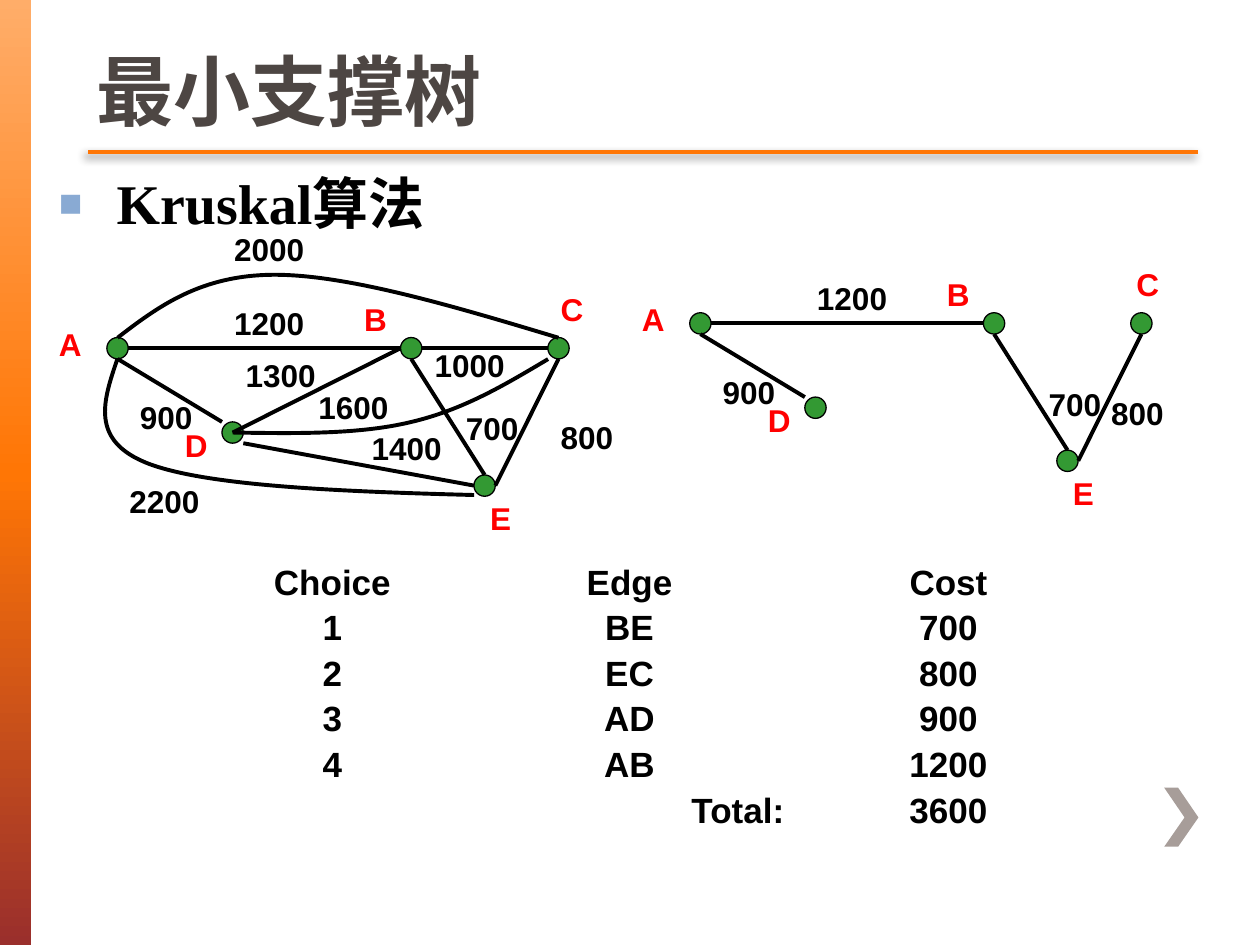
from dataclasses import dataclass
from pptx import Presentation
from pptx.dml.color import RGBColor
from pptx.enum.shapes import MSO_CONNECTOR, MSO_SHAPE
from pptx.enum.text import MSO_ANCHOR, PP_ALIGN
from pptx.oxml import parse_xml
from pptx.oxml.ns import nsdecls, qn
from pptx.util import Cm, Pt


@dataclass(frozen=True)
class Theme:
    title: str = "4D4643"
    edge: str = "675D59"
    ink: str = "000000"
    name: str = "FF0000"
    node: str = "339933"
    rule: str = "FF7605"
    arrow: str = "A79D99"
    bullet: str = "89AAD3"
    bar: tuple = ((0, "FFAD69"), (50, "FF7605"), (100, "9A2F2C"))
    sans: str = "Arial"
    serif: str = "Times New Roman"
    big: int = 44
    head: int = 32
    body: int = 20
    small: int = 18


theme = Theme()


def style(para, size, color, face):
    for run in para.runs:
        run.font.size = Pt(size)
        run.font.bold = True
        run.font.name = face
        run.font.color.rgb = RGBColor.from_string(color)


def stroke(shape, color, width, effect=""):
    shape.line.color.rgb = RGBColor.from_string(color)
    shape.line.width = Pt(width)
    props = shape._element.spPr
    for old in props.findall(qn("a:effectLst")):
        props.remove(old)
    props.append(parse_xml(f'<a:effectLst {nsdecls("a")}>{effect}</a:effectLst>'))


deck = Presentation()
deck.slide_width, deck.slide_height = Cm(25.4), Cm(19.05)
slide = deck.slides.add_slide(deck.slide_layouts[5])
shapes = slide.shapes

title = shapes.title
title.left, title.top, title.width, title.height = Cm(1.7), Cm(0), Cm(22.38), Cm(2.87)
title.text_frame.text = "最小支撑树"
title.text_frame.vertical_anchor = MSO_ANCHOR.BOTTOM
para = title.text_frame.paragraphs[0]
para.alignment = PP_ALIGN.LEFT
style(para, theme.big, theme.title, theme.sans)
para.runs[0].font._element.insert(0, parse_xml(
    f'<a:ln {nsdecls("a")} w="12700"><a:solidFill><a:srgbClr val="{theme.edge}"/></a:solidFill></a:ln>'))

bar = shapes.add_shape(MSO_SHAPE.RECTANGLE, Cm(0), Cm(0), Cm(0.63), Cm(19.05))
bar.shadow.inherit = False
bar.line.fill.background()
stops = "".join(f'<a:gs pos="{pos * 1000}"><a:srgbClr val="{color}"/></a:gs>' for pos, color in theme.bar)
bar._element.spPr.find(qn("a:prstGeom")).addnext(parse_xml(
    f'<a:gradFill {nsdecls("a")}><a:gsLst>{stops}</a:gsLst><a:lin ang="5400000" scaled="0"/></a:gradFill>'))

tip = [(23.47, 15.88), (23.88, 16.48), (23.47, 17.07), (23.75, 17.07), (24.16, 16.48)]
build = shapes.build_freeform(Cm(23.75), Cm(15.88))
build.add_line_segments([(Cm(x), Cm(y)) for x, y in tip], close=True)
arrow = build.convert_to_shape()
arrow.shadow.inherit = False
arrow.fill.solid()
arrow.fill.fore_color.rgb = RGBColor.from_string(theme.arrow)
arrow.line.fill.background()

rule = shapes.add_connector(MSO_CONNECTOR.STRAIGHT, Cm(1.78), Cm(3.07), Cm(24.16), Cm(3.07))
stroke(rule, theme.rule, 2.5,
       '<a:outerShdw blurRad="63500" dist="38100" dir="8100000">'
       '<a:srgbClr val="000000"><a:alpha val="45000"/></a:srgbClr></a:outerShdw>')

head = shapes.add_textbox(Cm(0.94), Cm(3.28), Cm(17.42), Cm(1.6)).text_frame
head.word_wrap = True
head.text = "Kruskal算法"
para = head.paragraphs[0]
props = para._p.get_or_add_pPr()
props.set("marL", str(Cm(1.16)))
props.set("indent", str(-Cm(1.16)))
for tag in (f'<a:buClr {nsdecls("a")}><a:srgbClr val="{theme.bullet}"/></a:buClr>',
            f'<a:buSzPct {nsdecls("a")} val="70000"/>',
            f'<a:buFont {nsdecls("a")} typeface="{theme.sans}"/>',
            f'<a:buChar {nsdecls("a")} char="■"/>'):
    props.append(parse_xml(tag))
style(para, theme.head, theme.ink, theme.serif)

nodes = {"A": (2.37, 7.02), "B": (8.29, 7.02), "C": (11.26, 7.02), "E": (9.77, 9.79), "D": (4.69, 8.72)}
names = {"A": (0.94, 6.43), "B": (7.09, 5.92), "C": (11.05, 5.72), "D": (3.48, 8.46), "E": (9.63, 9.93)}
size = 0.43
edges = {
    "AB": ((1, 0), (-1, 0)), "BC": ((1, 0), (-1, 0)), "AD": ((0, 1), (-1, -1)), "DE": ((1, 1), (-1, 0)),
    "EC": ((1, 0), (0, 1)), "BE": ((0, 1), (0, -1)), "DB": ((0, 0), (-1, 0)),
}
curves = [
    [(2.37, 6.81), (3.2, 6.17), (4.06, 5.54), (5.54, 5.54), (7.01, 5.54), (9.14, 6.17), (11.26, 6.81)],
    [(2.37, 7.23), (2.08, 8.08), (1.8, 8.89), (3, 9.35), (4.19, 9.8), (6.88, 9.91), (9.56, 9.98)],
    [(4.69, 8.72), (5.97, 8.74), (7.24, 8.76), (8.28, 8.51), (9.35, 8.26), (10.19, 7.75), (11.05, 7.24)],
]
costs = {"2000": (4.47, 4.52), "1200": (4.47, 6), "1000": (8.51, 6.86), "900": (2.57, 7.9), "1300": (4.7, 7.06),
         "1600": (6.17, 7.7), "1400": (7.24, 8.53), "700": (9.14, 8.13), "800": (11.05, 8.31), "2200": (2.36, 9.6)}
tree = {"AB": "1200", "AD": "900", "EC": "800", "BE": "700"}
full = (shapes.add_group_shape().shapes, 0, 0, edges, curves, costs, names)
least = (shapes, 11.75, -0.5, tree, [],
         {cost: costs[cost] for cost in tree.values()} | {"800": (10.4, 8.31)},
         names | {"C": (10.91, 5.72)})

for home, dx, dy, links, bends, sums, marks in (full, least):
    for x, y in nodes.values():
        node = home.add_shape(MSO_SHAPE.OVAL, Cm(x + dx - size / 2), Cm(y + dy - size / 2), Cm(size), Cm(size))
        node.fill.solid()
        node.fill.fore_color.rgb = RGBColor.from_string(theme.node)
        stroke(node, theme.ink, 0.75)
    for link in links:
        ends = [Cm(spot + shift + side * size / 2)
                for key, sides in zip(link, edges[link])
                for spot, shift, side in zip(nodes[key], (dx, dy), sides)]
        stroke(home.add_connector(MSO_CONNECTOR.STRAIGHT, *ends), theme.ink, 2.25)
    for bend in bends:
        first, *rest = [(Cm(x + dx), Cm(y + dy)) for x, y in bend]
        build = home.build_freeform(*first)
        build.add_line_segments(rest, close=False)
        curve = build.convert_to_shape()
        curve.fill.background()
        stroke(curve, theme.ink, 2.25)
        parts = curve._element.findall(".//" + qn("a:lnTo"))
        route = parts[0].getparent()
        for start in range(0, len(parts), 3):
            cubic = parse_xml(f'<a:cubicBezTo {nsdecls("a")}/>')
            route.append(cubic)
            for part in parts[start:start + 3]:
                cubic.append(part[0])
                route.remove(part)
    for words, width, color in ((sums, 2.11, theme.ink), (marks, 1.27, theme.name)):
        for word, (x, y) in words.items():
            frame = home.add_textbox(Cm(x + dx), Cm(y + dy), Cm(width), Cm(1.02)).text_frame
            frame.word_wrap = True
            frame.text = word
            style(frame.paragraphs[0], theme.small, color, theme.sans)

rows = [("Choice", "Edge", "Cost"), ("1", "BE", "700"), ("2", "EC", "800"),
        ("3", "AD", "900"), ("4", "AB", "1200"), ("", "Total:", "3600")]
widths = (2.84, 9.14, 3.72)
table = shapes.add_table(len(rows), 3, Cm(5.28), Cm(11.29), Cm(sum(widths)), Cm(0.92 * len(rows))).table
table.first_row = table.horz_banding = False
for col, width in zip(table.columns, widths):
    col.width = Cm(width)
for line, row in zip(table.rows, rows):
    line.height = Cm(0.92)
    for cell, word in zip(line.cells, row):
        cell.fill.background()
        cell.margin_left = cell.margin_right = cell.margin_top = cell.margin_bottom = 0
        cell.vertical_anchor = MSO_ANCHOR.MIDDLE
        cell.text_frame.text = word
        para = cell.text_frame.paragraphs[0]
        para.alignment = PP_ALIGN.CENTER
        para.font.size = Pt(theme.body)
        style(para, theme.body, theme.ink, theme.sans)
total = table.cell(len(rows) - 1, 1)
total.margin_right = Cm(1.45)
total.text_frame.paragraphs[0].alignment = PP_ALIGN.RIGHT

deck.save("out.pptx")
